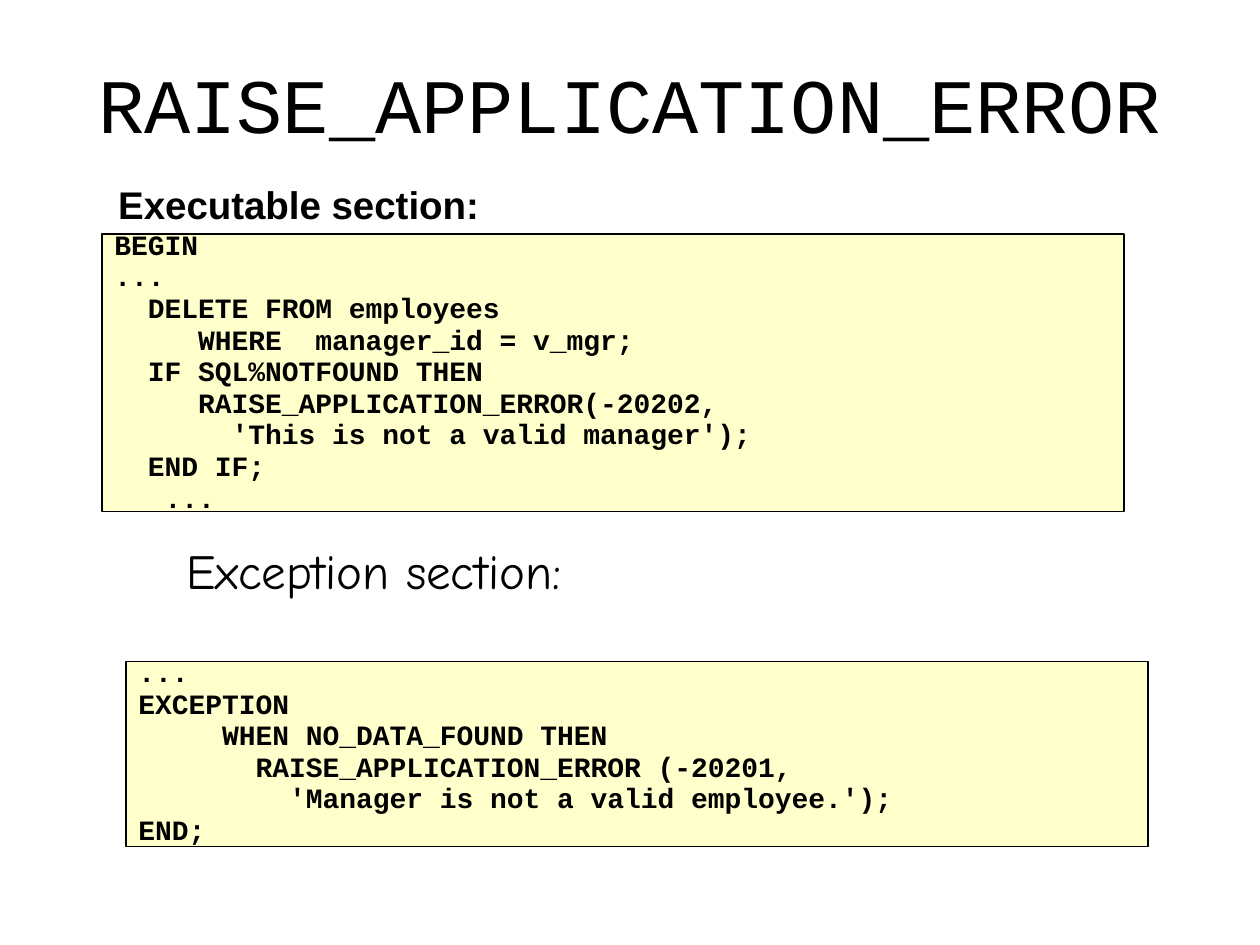
"""Build the RAISE_APPLICATION_ERROR slide with its two PL/SQL code panels."""
from pptx import Presentation
from pptx.dml.color import RGBColor as Rgb
from pptx.enum.shapes import MSO_SHAPE as Shape
from pptx.enum.text import MSO_ANCHOR as Anchor, PP_ALIGN as Align
from pptx.util import Inches, Pt

COLORS = {"ink": "000000", "panel": "FFFFCC"}
FONTS = {
    "title": {"name": "Courier New", "size": Pt(44), "bold": False},
    "executable": {"name": "Arial", "size": Pt(22), "bold": True},
    "exception": {"name": "Comic Neue", "size": Pt(28), "bold": False},
    "code": {"name": "Courier New", "size": Pt(16), "bold": True},
}
HEADINGS = [
    ("RAISE_APPLICATION_ERROR", "title", (0.5, 0.3, 9, 1.25),
     {"word_wrap": True, "margin_top": Inches(0.15)}, Align.CENTER),
    ("Executable section:", "executable", (0.84, 1.39, 3.07, 0.47),
     {"word_wrap": False}, Align.LEFT),
    ("Exception section:", "exception", (0.81, 4.24, 8.08, 0.57),
     {"word_wrap": True, "margin_left": Inches(0.67)}, Align.LEFT),
]
EXECUTABLE_CODE = [
    "BEGIN",
    "...",
    "  DELETE FROM employees",
    "     WHERE  manager_id = v_mgr;",
    "  IF SQL%NOTFOUND THEN",
    "     RAISE_APPLICATION_ERROR(-20202,",
    "       'This is not a valid manager');",
    "  END IF;",
    "   ...",
]
EXCEPTION_CODE = [
    "...",
    "EXCEPTION",
    "     WHEN NO_DATA_FOUND THEN",
    "       RAISE_APPLICATION_ERROR (-20201,",
    "         'Manager is not a valid employee.');",
    "END;",
]
PANELS = [
    (EXECUTABLE_CODE, (0.81, 1.86, 8.11, 2.2)),
    (EXCEPTION_CODE, (1, 5.25, 8.11, 1.47)),
]


def color(key):
    return Rgb.from_string(COLORS[key])


def apply(target, values):
    for key, value in values.items():
        setattr(target, key, value)


def write(frame, lines, style, frame_format, align=Align.LEFT, spacing=1, gap=0):
    apply(frame, {"vertical_anchor": Anchor.TOP, **frame_format})
    for index, line in enumerate(lines):
        paragraph = frame.add_paragraph() if index else frame.paragraphs[0]
        paragraph.text = line
        apply(paragraph, {"alignment": align, "line_spacing": spacing,
                          "space_before": Pt(gap if index else 0)})
        apply(paragraph.font, FONTS[style])
        paragraph.font.color.rgb = color("ink")


def add_panel(slide, lines, place):
    panel = slide.shapes.add_shape(Shape.RECTANGLE, *map(Inches, place))
    panel.shadow.inherit = False
    panel.fill.solid()
    panel.fill.fore_color.rgb = color("panel")
    panel.line.color.rgb = color("ink")
    panel.line.width = Pt(1)
    write(panel.text_frame, lines, "code", {"word_wrap": True}, spacing=0.55, gap=7.5)


def main():
    deck = Presentation()
    deck.slide_width, deck.slide_height = Inches(10), Inches(7.5)
    slide = deck.slides.add_slide(deck.slide_layouts[6])
    for lines, place in PANELS:
        add_panel(slide, lines, place)
    for heading, style, place, frame_format, align in HEADINGS:
        box = slide.shapes.add_textbox(*map(Inches, place))
        write(box.text_frame, [heading], style, frame_format, align)
    deck.save("out.pptx")


if __name__ == "__main__":
    main()
